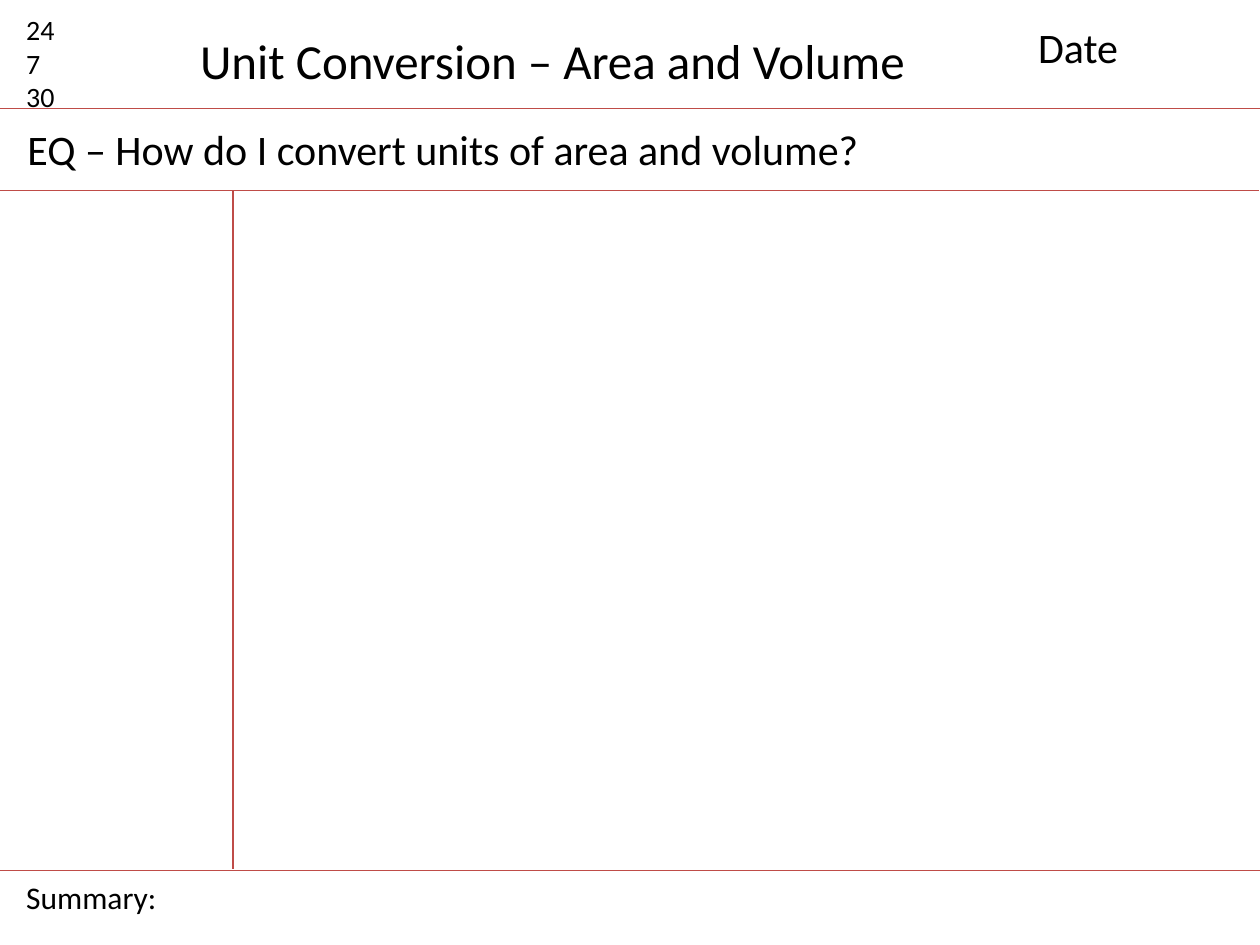
from lxml import etree
from pptx import Presentation
from pptx.dml.color import RGBColor
from pptx.enum.shapes import MSO_CONNECTOR
from pptx.enum.text import MSO_AUTO_SIZE
from pptx.oxml.ns import qn
from pptx.util import Inches, Pt

COLORS = {"rule": "BF4C48", "text": "000000"}

deck = Presentation()
deck.slide_width, deck.slide_height = Inches(10), Inches(7.5)
page = deck.slides.add_slide(deck.slide_layouts[6])


def add_text(text, left, top, width, height, size, wrap=True):
    box = page.shapes.add_textbox(Inches(left), Inches(top), Inches(width), Inches(height))
    frame = box.text_frame
    frame.word_wrap = wrap
    frame.auto_size = MSO_AUTO_SIZE.SHAPE_TO_FIT_TEXT
    frame.text = text
    for para in frame.paragraphs:
        for span in para.runs:
            span.font.name = "Calibri"
            span.font.size = Pt(size)
            span.font.color.rgb = RGBColor.from_string(COLORS["text"])


# Rules that divide the notes page: header, question, cue column, summary
header_y, question_y, summary_y = 0.86, 1.51, 6.91
cue_x = 1.85
rules = [
    (0, header_y, 10, header_y),
    (0, question_y, 9.99, question_y),
    (cue_x, question_y, cue_x, 6.9),
    (0, summary_y, 10, summary_y),
]
for ends in rules:
    rule = page.shapes.add_connector(MSO_CONNECTOR.STRAIGHT, *map(Inches, ends))
    rule.line.color.rgb = RGBColor.from_string(COLORS["rule"])
    rule.line.width = Pt(0.75)
    etree.SubElement(rule._element.spPr, qn("a:effectLst"))

# Header
add_text("24\n7\n30", 0.11, 0.05, 0.63, 0.91, size=16)
add_text("Unit Conversion – Area and Volume", 1.49, 0.19, 5.86, 0.57, size=28, wrap=False)
add_text("Date", 8.14, 0.12, 1.73, 0.5, size=24)

# Essential question
add_text("EQ – How do I convert units of area and volume?", 0.12, 0.93, 9.76, 0.5, size=24)

# Summary
add_text("Summary:", 0.11, 6.92, 1.25, 0.4, size=18, wrap=False)

deck.save("out.pptx")
